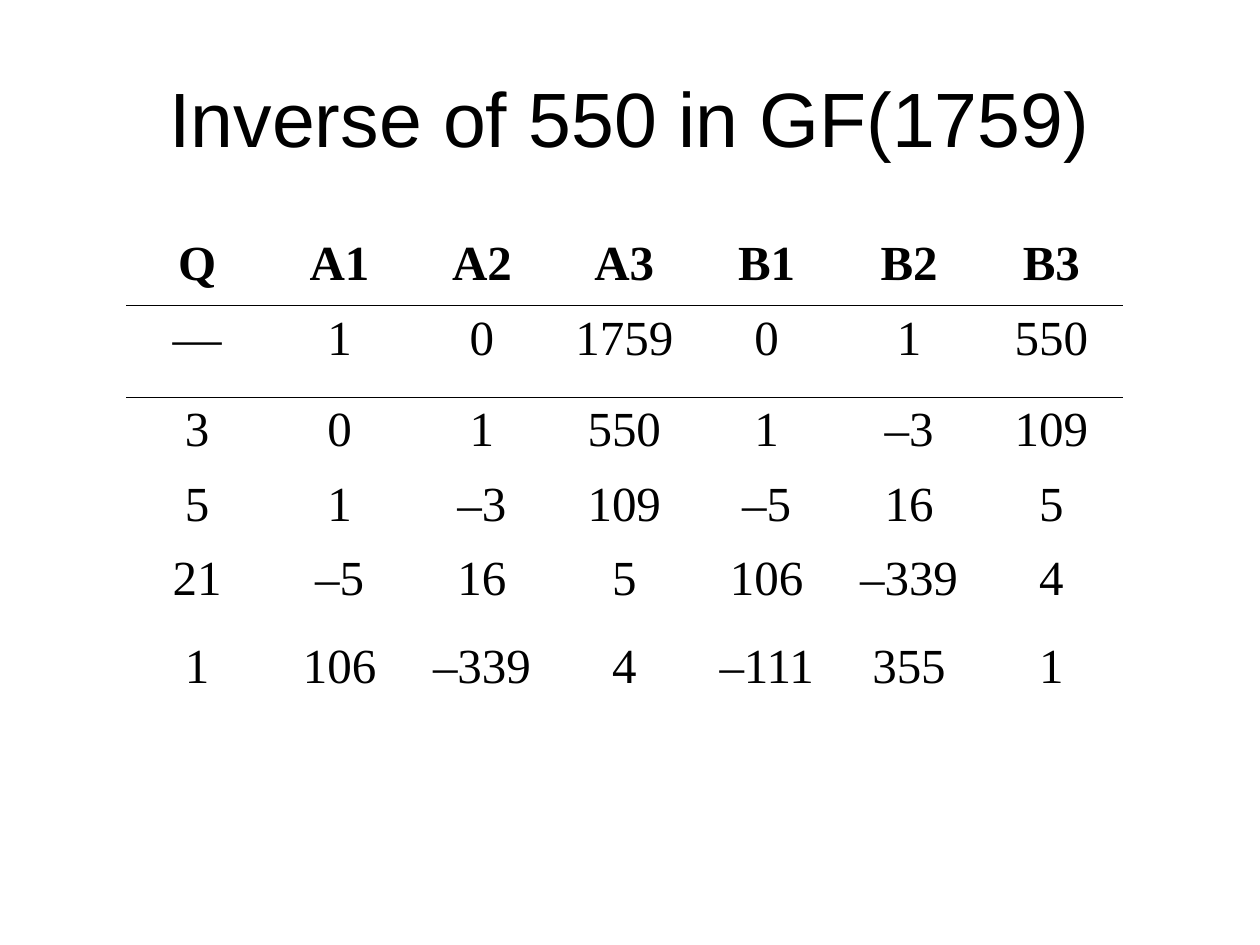
from lxml.etree import SubElement
from pptx import Presentation
from pptx.dml.color import RGBColor
from pptx.enum.text import MSO_ANCHOR, PP_ALIGN
from pptx.oxml.ns import qn
from pptx.util import Cm, Pt

BLACK = RGBColor(0x00, 0x00, 0x00)
NO_STYLE_NO_GRID = "{2D5ABB26-0587-4C30-8999-92F81FD0307C}"

HEADER = ["Q", "A1", "A2", "A3", "B1", "B2", "B3"]
STEPS = [
    ["—", "1", "0", "1759", "0", "1", "550"],
    ["3", "0", "1", "550", "1", "–3", "109"],
    ["5", "1", "–3", "109", "–5", "16", "5"],
    ["21", "–5", "16", "5", "106", "–339", "4"],
    ["1", "106", "–339", "4", "–111", "355", "1"],
]
ROW_HEIGHTS = [1.5, 1.85, 1.5, 1.5, 1.78, 2.64]
COLUMN_WIDTH = 2.87


def write(frame, text, font="Times New Roman", size=28, bold=False, space=0):
    """Fill a text frame with one centred black paragraph."""
    para = frame.paragraphs[0]
    para.alignment = PP_ALIGN.CENTER
    para.space_before = para.space_after = Pt(space)
    span = para.add_run()
    span.text = text
    span.font.name = font
    span.font.size = Pt(size)
    span.font.bold = bold
    span.font.color.rgb = BLACK


def add_border(cell, side):
    line = SubElement(cell._tc.get_or_add_tcPr(), qn(f"a:{side}"), w=str(Pt(0.45)))
    fill = SubElement(line, qn("a:solidFill"))
    SubElement(fill, qn("a:srgbClr"), val=str(BLACK))


deck = Presentation()
deck.slide_width, deck.slide_height = Cm(25.4), Cm(19.05)
page = deck.slides.add_slide(deck.slide_layouts[5])

title = page.shapes.title
title.left, title.top, title.width, title.height = Cm(1.27), Cm(0.76), Cm(22.86), Cm(3.18)
title.text_frame.vertical_anchor = MSO_ANCHOR.MIDDLE
write(title.text_frame, "Inverse of 550 in GF(1759)", font="Arial", size=44)

rows = [HEADER] + STEPS
table = page.shapes.add_table(
    len(rows), len(HEADER), Cm(2.54), Cm(4.65),
    Cm(COLUMN_WIDTH * len(HEADER)), Cm(sum(ROW_HEIGHTS)),
).table
table.first_row = table.horz_banding = False
table._tbl.tblPr.find(qn("a:tableStyleId")).text = NO_STYLE_NO_GRID

for column in table.columns:
    column.width = Cm(COLUMN_WIDTH)
for row, height in zip(table.rows, ROW_HEIGHTS):
    row.height = Cm(height)

for row_index, values in enumerate(rows):
    for column_index, value in enumerate(values):
        cell = table.cell(row_index, column_index)
        write(cell.text_frame, value, bold=row_index == 0, space=3)
        if row_index == 0:
            add_border(cell, "lnB")
        elif row_index == 1:
            add_border(cell, "lnT")
        cell.fill.background()

deck.save("out.pptx")
